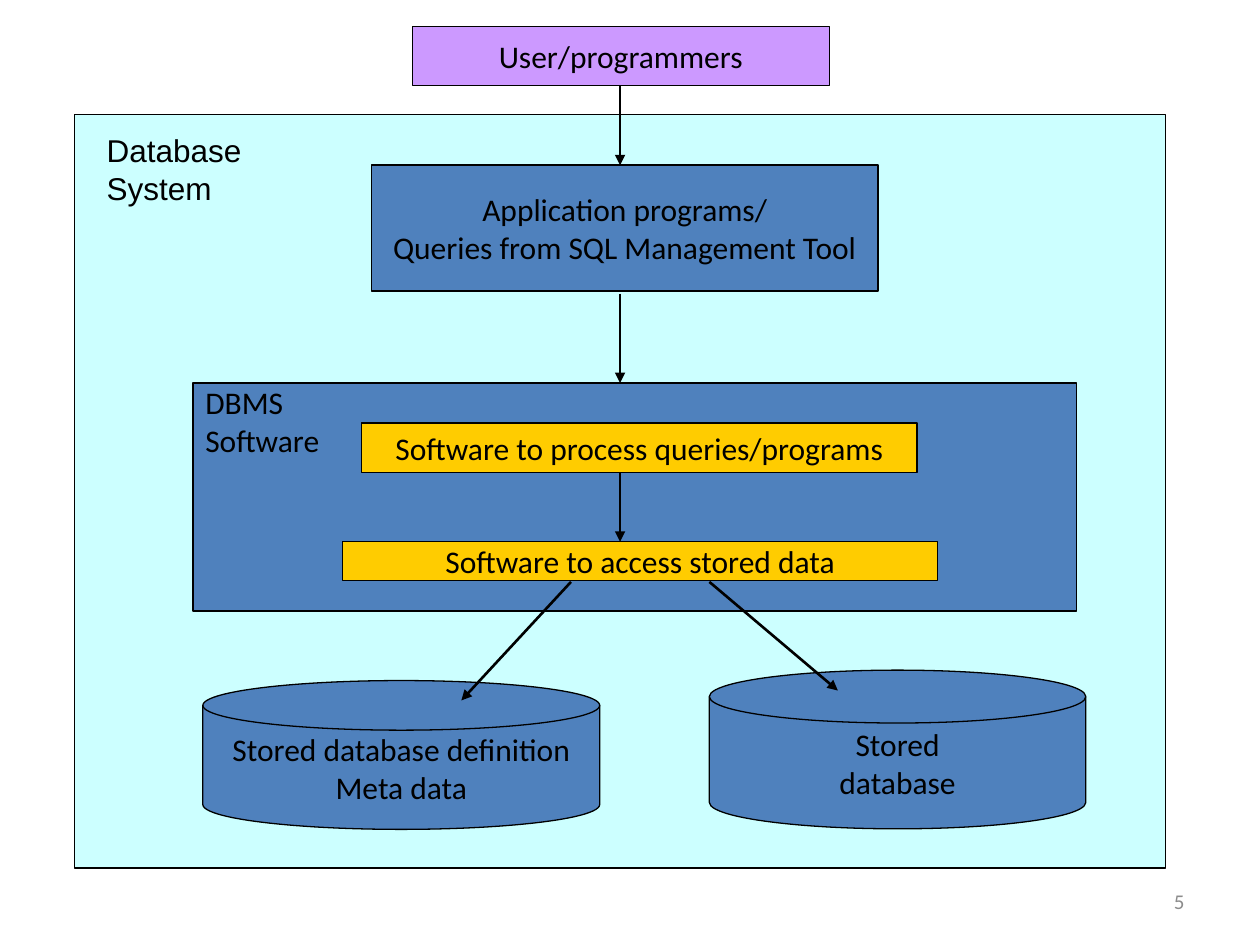
from lxml.etree import SubElement
from pptx import Presentation
from pptx.enum.shapes import MSO_CONNECTOR as Link, MSO_SHAPE as Shape
from pptx.enum.text import MSO_ANCHOR as Anchor, PP_ALIGN as Align
from pptx.dml.color import RGBColor
from pptx.oxml.ns import qn
from pptx.util import Cm, Pt


def paint(fill, tone):
    fill.solid()
    fill.fore_color.rgb = RGBColor.from_string(tone)


def write(box, text, size=18, font="Calibri", tone="000000",
          align=Align.CENTER, anchor=Anchor.MIDDLE, top=0.13):
    frame = box.text_frame
    frame.word_wrap = True
    frame.vertical_anchor = anchor
    frame.margin_top = Cm(top)
    frame.text = text
    for para in frame.paragraphs:
        para.alignment = align
        para.font.size = Pt(size)
        para.font.name = font
        paint(para.font.fill, tone)


deck = Presentation()
deck.slide_width, deck.slide_height = Cm(25.4), Cm(19.05)
slide = deck.slides.add_slide(deck.slide_layouts[6])
shapes = slide.shapes

blue, gold = "4F81BD", "FFCC00"
rect, disk = Shape.RECTANGLE, Shape.FLOWCHART_MAGNETIC_DISK
corner = dict(align=Align.LEFT, anchor=Anchor.TOP)

parts = [
    (rect, "CCFFFF", (1.5, 2.31, 22, 15.19), "", {}),
    (disk, blue, (4.09, 13.72, 8, 3), "Stored database definition\nMeta data", {}),
    (disk, blue, (14.3, 13.51, 7.59, 3.2), "Stored\ndatabase", {}),
    (rect, blue, (3.89, 7.72, 17.81, 4.6), "DBMS\nSoftware", dict(corner, top=0)),
    (rect, gold, (7.29, 8.53, 11.2, 0.99), "Software to process queries/programs", {}),
    (rect, gold, (6.91, 10.92, 11.99, 0.79), "Software to access stored data", {}),
    (rect, blue, (7.49, 3.33, 10.21, 2.54),
     "Application programs/\nQueries from SQL Management Tool", {}),
    (rect, "CC99FF", (8.31, 0.53, 8.41, 1.19), "User/programmers", {}),
]
for kind, tone, place, text, form in parts:
    part = shapes.add_shape(kind, *map(Cm, place))
    part.shadow.inherit = False
    paint(part.fill, tone)
    paint(part.line.fill, "000000")
    part.line.width = Pt(0.75)
    if text:
        write(part, text, **form)

label = shapes.add_textbox(Cm(1.9), Cm(2.51), Cm(3.23), Cm(1.78))
write(label, "Database\nSystem", font="Arial", **corner)

mid = 12.5
arrows = [
    (mid, 1.73, mid, 3.33),
    (mid, 5.92, mid, 7.72),
    (mid, 9.53, mid, 10.92),
    (11.51, 11.73, 9.3, 14.12),
    (14.3, 11.73, 16.89, 13.92),
]
for ends in arrows:
    arrow = shapes.add_connector(Link.STRAIGHT, *map(Cm, ends))
    paint(arrow.line.fill, "000000")
    arrow.line.width = Pt(1.5)
    SubElement(arrow.line._get_or_add_ln(), qn("a:tailEnd"), type="triangle")
    SubElement(arrow._element.spPr, qn("a:effectLst"))

number = shapes.add_textbox(Cm(18.21), Cm(17.65), Cm(5.92), Cm(1.02))
write(number, "5", size=12, tone="8C8C8C", align=Align.RIGHT)

deck.save("out.pptx")
